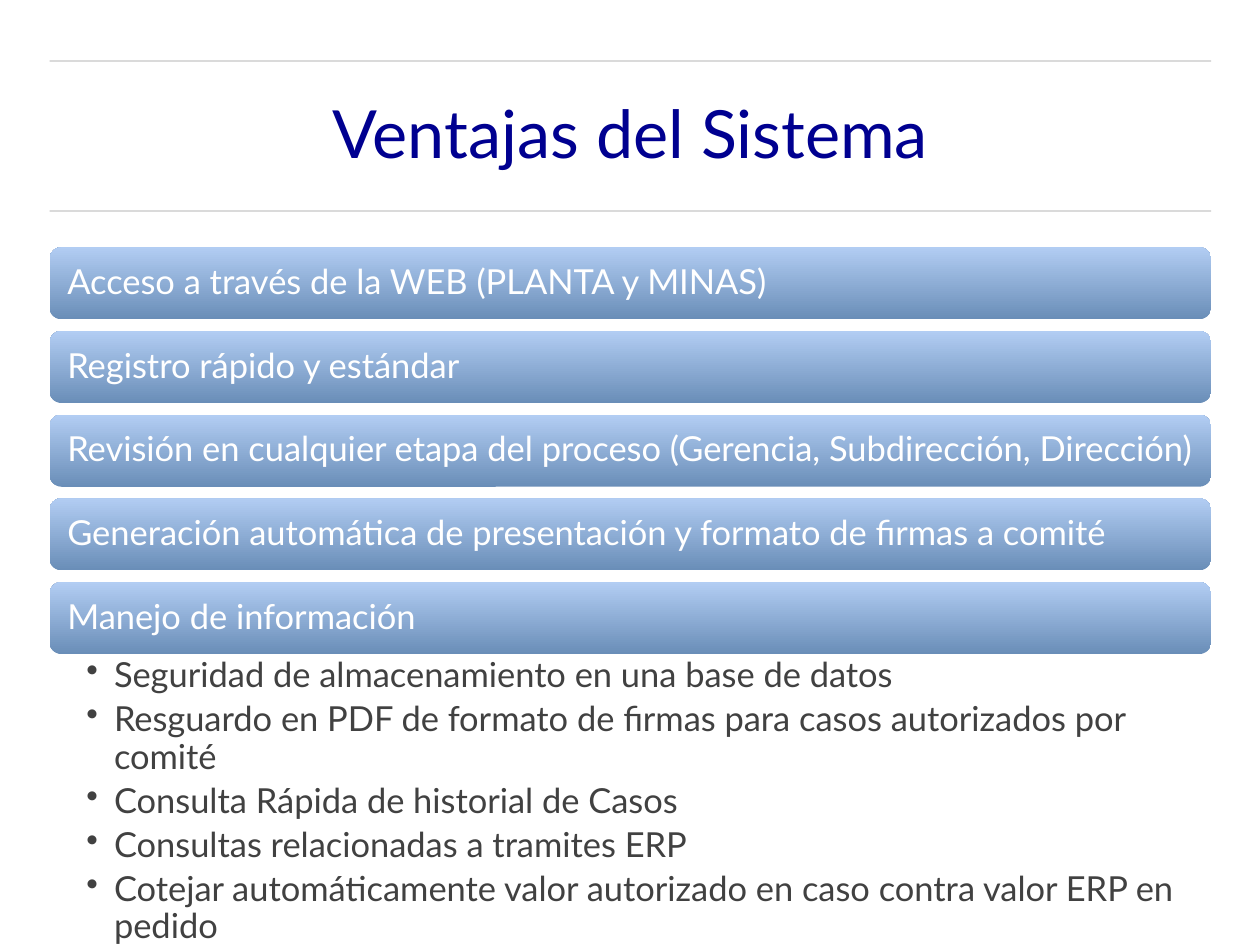
"""Build the slide on the advantages of the system."""
from lxml import etree
from pptx import Presentation
from pptx.dml.color import RGBColor
from pptx.enum.shapes import MSO_CONNECTOR, MSO_SHAPE
from pptx.enum.text import MSO_ANCHOR, PP_ALIGN
from pptx.oxml.ns import qn
from pptx.util import Cm, Pt

COLORS = {"title": "000090", "rule": "444444", "low": "6A8EB8",
          "high": "B2CDF3", "label": "FFFFFF", "body": "414141"}
LEFT, WIDTH = 1.42, 33.3
BARS = [
    "Acceso a través de la WEB (PLANTA y MINAS)",
    "Registro rápido y estándar",
    "Revisión en cualquier etapa del proceso (Gerencia, Subdirección, Dirección)",
    "Generación automática de presentación y formato de firmas a comité",
    "Manejo de información",
]
POINTS = [
    "Seguridad de almacenamiento en una base de datos",
    "Resguardo en PDF de formato de firmas para casos autorizados por comité",
    "Consulta Rápida de historial de Casos",
    "Consultas relacionadas a tramites ERP",
    "Cotejar automáticamente valor autorizado en caso contra valor ERP en pedido",
]


def set_frame(frame, anchor, left, top, right):
    frame.word_wrap = True
    frame.vertical_anchor = anchor
    frame.margin_left, frame.margin_right = Cm(left), Cm(right)
    frame.margin_top = frame.margin_bottom = Cm(top)


def add_text(para, text, size, color, align=PP_ALIGN.LEFT):
    para.alignment = align
    para.line_spacing = 0.9
    run = para.add_run()
    run.text = text
    run.font.name = "Lato"
    run.font.size = Pt(size)
    run.font.color.rgb = RGBColor.from_string(COLORS[color])


deck = Presentation()
deck.slide_width, deck.slide_height = Cm(36.12), Cm(27.1)
slide = deck.slides.add_slide(deck.slide_layouts[6])
shapes = slide.shapes

for y in (1.75, 6.05):
    rule = shapes.add_connector(MSO_CONNECTOR.STRAIGHT, Cm(LEFT), Cm(y),
                                Cm(LEFT + WIDTH), Cm(y))
    rule.line.width = Pt(1)
    rule.line.color.rgb = RGBColor.from_string(COLORS["rule"])
    props = rule._element.spPr
    tint = next(props.iter(qn("a:srgbClr")))
    etree.SubElement(tint, qn("a:alpha"), val="30000")
    etree.SubElement(props, qn("a:effectLst"))

title = shapes.add_textbox(Cm(LEFT), Cm(2.24), Cm(WIDTH), Cm(3.38))
set_frame(title.text_frame, MSO_ANCHOR.MIDDLE, 0, 0, 0)
para = title.text_frame.paragraphs[0]
para.space_before = Pt(16)
add_text(para, "Ventajas del Sistema", 54, "title", PP_ALIGN.CENTER)

for i, label in enumerate(BARS):
    bar = shapes.add_shape(MSO_SHAPE.ROUNDED_RECTANGLE, Cm(LEFT),
                           Cm(7.09 + 2.4 * i), Cm(WIDTH), Cm(2.07))
    bar.shadow.inherit = False
    bar.line.fill.background()
    bar.fill.gradient()
    bar.fill.gradient_angle = 90
    for stop, name in zip(bar.fill.gradient_stops, ("low", "high")):
        stop.color.rgb = RGBColor.from_string(COLORS[name])
    set_frame(bar.text_frame, MSO_ANCHOR.MIDDLE, 0.41, 0.3, 0.41)
    add_text(bar.text_frame.paragraphs[0], label, 28, "label")

body = shapes.add_textbox(Cm(LEFT), Cm(18.77), Cm(WIDTH), Cm(6.55))
frame = body.text_frame
set_frame(frame, MSO_ANCHOR.TOP, 1.06, 0.1, 0.56)
for i, point in enumerate(POINTS):
    para = frame.add_paragraph() if i else frame.paragraphs[0]
    add_text(para, point, 28, "body")
    para.space_after = Pt(5.6)
    props = para._p.get_or_add_pPr()
    props.set("marL", str(Cm(0.79)))
    props.set("indent", str(Cm(-0.79)))
    etree.SubElement(props, qn("a:buChar"), char="•")

deck.save("out.pptx")
